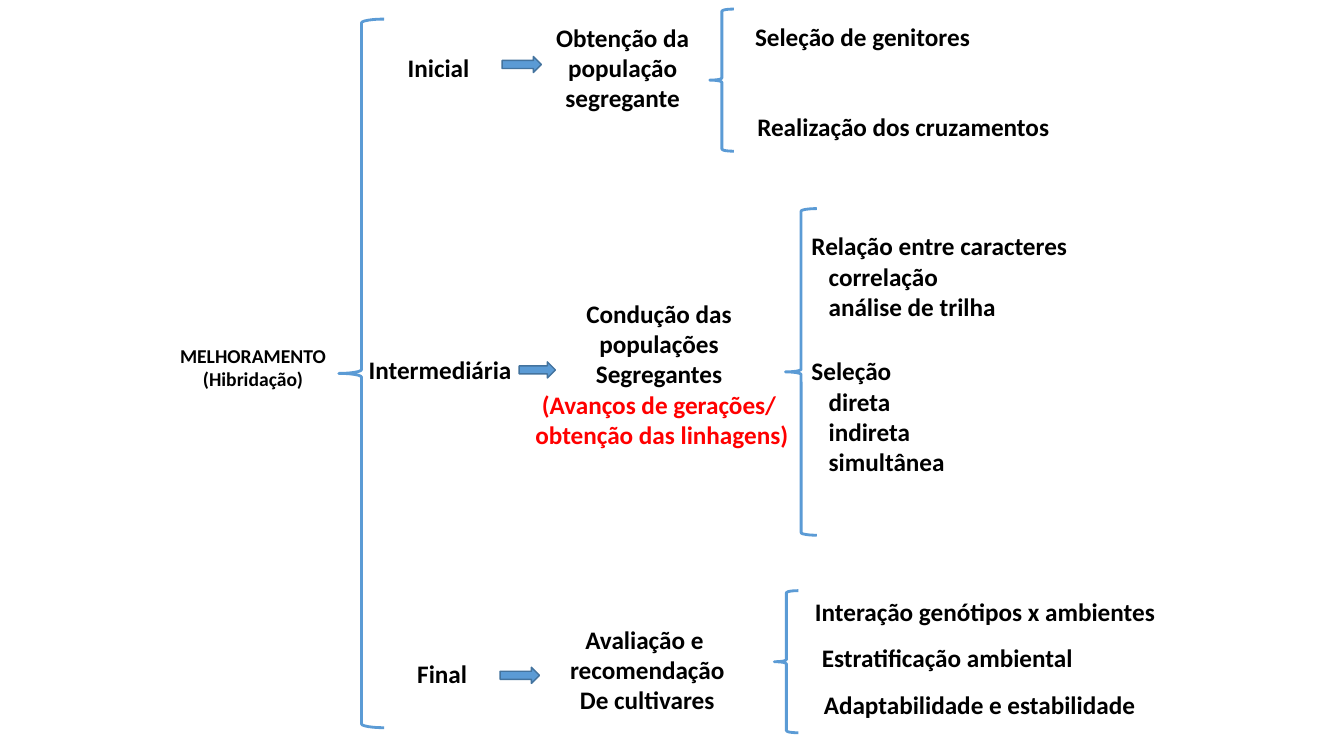
from pptx import Presentation
from pptx.dml.color import RGBColor
from pptx.enum.shapes import MSO_SHAPE
from pptx.enum.text import MSO_AUTO_SIZE, PP_ALIGN
from pptx.util import Inches, Pt

BLACK = RGBColor(0x00, 0x00, 0x00)
RED = RGBColor(0xFF, 0x00, 0x00)
BLUE = RGBColor(0x5B, 0x9B, 0xD5)
DARK_BLUE = RGBColor(0x43, 0x73, 0x9E)


class Diagram:
    font = "Calibri"
    indent = Inches(0.17)

    def __init__(self, deck):
        self.width, self.height = deck.slide_width, deck.slide_height
        self.page = deck.slides.add_slide(deck.slide_layouts[6])

    def across(self, percent):
        return round(self.width * percent / 100)

    def down(self, percent):
        return round(self.height * percent / 100)

    def label(self, left, top, width, lines, size=18, align=PP_ALIGN.CENTER, indented=(), red=()):
        height = Inches(0.1) + Pt(size * 1.2) * len(lines)
        box = self.page.shapes.add_textbox(
            self.across(left), self.down(top), self.across(width), height)
        frame = box.text_frame
        frame.word_wrap = False
        frame.auto_size = MSO_AUTO_SIZE.SHAPE_TO_FIT_TEXT
        frame.text = "\n".join(lines)
        for number, para in enumerate(frame.paragraphs):
            para.alignment = align
            if number in indented:
                para._p.get_or_add_pPr().set("marL", str(self.indent))
            para.font.name = self.font
            para.font.size = Pt(size)
            para.font.bold = True
            para.font.color.rgb = RED if number in red else BLACK

    def shape(self, kind, left, top, width, height, line, weight):
        shape = self.page.shapes.add_shape(
            kind, self.across(left), self.down(top), self.across(width), self.down(height))
        shape.shadow.inherit = False
        shape.line.color.rgb = line
        shape.line.width = Pt(weight)
        return shape

    def brace(self, left, top, width, height):
        brace = self.shape(MSO_SHAPE.LEFT_BRACE, left, top, width, height, BLUE, 2)
        brace.fill.background()

    def arrow(self, left, top, width=2.93):
        arrow = self.shape(MSO_SHAPE.RIGHT_ARROW, left, top, width, 2.13, DARK_BLUE, 1)
        arrow.fill.solid()
        arrow.fill.fore_color.rgb = BLUE


def main():
    deck = Presentation()
    deck.slide_width, deck.slide_height = Inches(13.33), Inches(7.5)
    diagram = Diagram(deck)

    diagram.label(12.6, 44.8, 12.45, ["MELHORAMENTO", "(Hibridação)"], size=14)
    diagram.brace(25.21, 2.53, 3.38, 93.73)

    diagram.label(29.56, 6.27, 6.15, ["Inicial"])
    diagram.arrow(37.36, 7.47)
    diagram.label(40.59, 2.27, 11.48, ["Obtenção da", "população", "segregante"])
    diagram.brace(52.81, 1.2, 1.8, 18.8)
    diagram.label(55.36, 2.13, 17.63, ["Seleção de genitores"])
    diagram.label(55.51, 14.13, 23.41, ["Realização dos cruzamentos"])

    diagram.label(26.63, 46.27, 12.23, ["Intermediária"])
    diagram.arrow(38.63, 47.87, 2.7)
    diagram.label(39.01, 38.8, 20.48, [
        "Condução das ", "populações ", "Segregantes ",
        "(Avanços de gerações/ ", "obtenção das linhagens)"], red=(3, 4))
    diagram.brace(58.44, 27.6, 2.33, 43.2)
    diagram.label(59.64, 29.87, 20.71, [
        "Relação entre caracteres", "correlação", "análise de trilha"],
        align=PP_ALIGN.LEFT, indented=(1, 2))
    diagram.label(59.64, 46.4, 11.48, ["Seleção", "direta", "indireta", "simultânea"],
                  align=PP_ALIGN.LEFT, indented=(1, 2, 3))

    diagram.label(30.31, 86.4, 5.25, ["Final"], align=PP_ALIGN.LEFT)
    diagram.arrow(37.21, 88.27)
    diagram.label(41.64, 81.87, 13.05, ["Avaliação e ", "recomendação", "De cultivares"])
    diagram.brace(57.61, 78.13, 1.8, 18.8)
    diagram.label(59.79, 78.27, 27.01, ["Interação genótipos x ambientes"])
    diagram.label(60.32, 84.27, 20.33, ["Estratificação ambiental"])
    diagram.label(60.47, 90.53, 24.83, ["Adaptabilidade e estabilidade"])

    deck.save("out.pptx")


if __name__ == "__main__":
    main()
